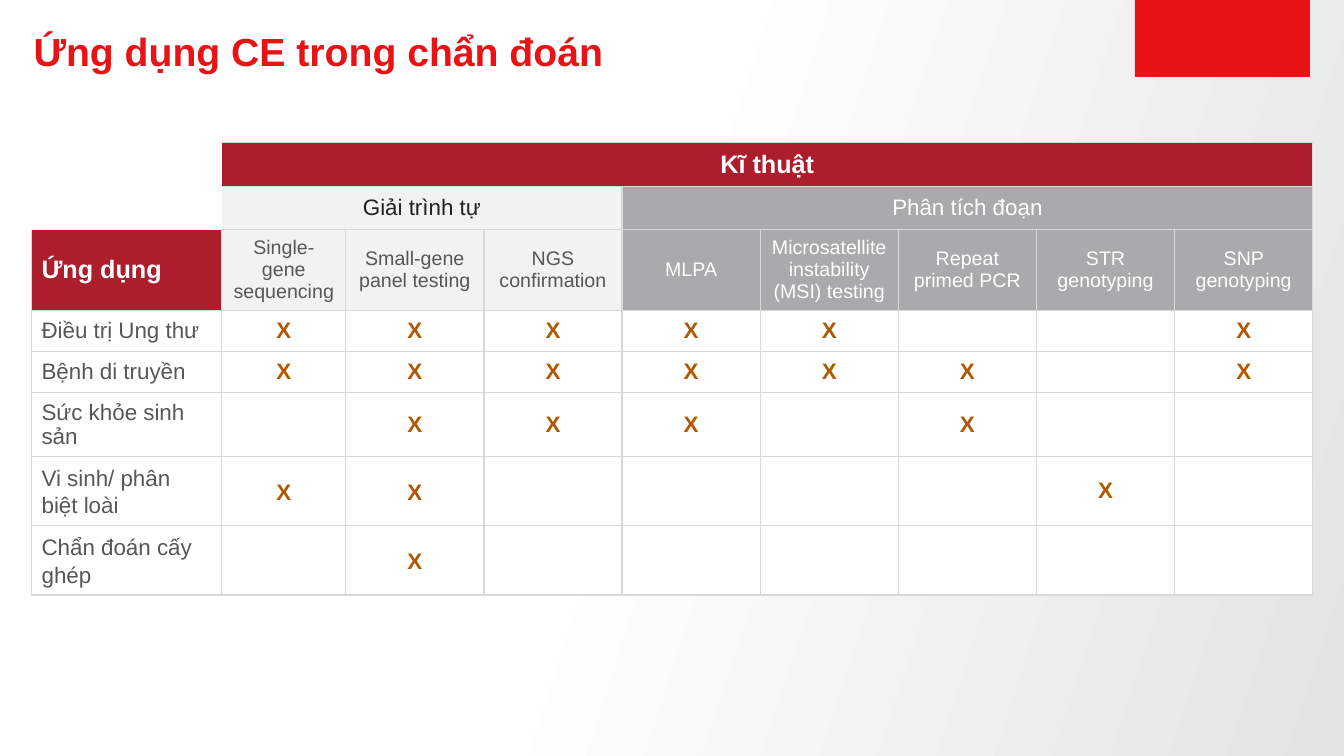
from lxml.etree import SubElement
from pptx import Presentation
from pptx.dml.color import RGBColor
from pptx.enum.shapes import MSO_SHAPE as Shape
from pptx.enum.text import MSO_ANCHOR as Anchor, PP_ALIGN as Align
from pptx.oxml.ns import qn
from pptx.util import Pt

COLORS = {
    "white": "FFFFFF", "shade": "E2E3E3", "red": "E71315", "crimson": "AD1E2D",
    "light": "F2F2F2", "gray": "A8ABAB", "ink": "222222", "text": "545859",
    "mark": "AF5800", "border": "D8D8D8",
}
TECHNIQUES = [
    "Single-gene sequencing", "Small-gene panel testing", "NGS confirmation",
    "MLPA", "Microsatellite instability (MSI) testing", "Repeat primed PCR",
    "STR genotyping", "SNP genotyping",
]
STR_COLUMN = 7
SEQUENCING_COUNT = 3
# Application, columns marked with X, line spacing
APPLICATIONS = [
    ("Điều trị Ung thư", {1, 2, 3, 4, 5, 8}, 1.0),
    ("Bệnh di truyền", {1, 2, 3, 4, 5, 6, 8}, 1.0),
    ("Sức khỏe sinh sản", {2, 3, 4, 6}, 1.0),
    ("Vi sinh/ phân biệt loài", {1, 2, 7}, 1.1),
    ("Chẩn đoán cấy ghép", {2}, 1.1),
]
COLUMN_WIDTHS = [136, 88.5] + [98.7] * 7
ROW_HEIGHTS = [31, 31, 48, 29.5, 29.5, 34.5, 36, 36]


def rgb(name):
    return RGBColor.from_string(COLORS[name])


class SlideBuilder:
    font = "Arial"

    def __init__(self, slide):
        self.slide = slide

    def background(self, start, end):
        fill = self.slide.background.fill
        fill.gradient()
        fill.gradient_angle = 342
        for stop, color, position in zip(fill.gradient_stops, (start, end), (0.45, 1)):
            stop.color.rgb = rgb(color)
            stop.position = position

    def block(self, left, top, width, height, color):
        shape = self.slide.shapes.add_shape(
            Shape.RECTANGLE, Pt(left), Pt(top), Pt(width), Pt(height))
        shape.shadow.inherit = False
        shape.fill.solid()
        shape.fill.fore_color.rgb = rgb(color)
        shape.line.fill.background()

    def set_text(self, paragraph, text, size, color, bold=False, align=Align.LEFT, spacing=1.0):
        paragraph.text = text
        paragraph.alignment = align
        paragraph.line_spacing = spacing
        font = paragraph.font
        font.name, font.size, font.bold = self.font, Pt(size), bold
        font.color.rgb = rgb(color)

    def title(self, left, top, width, height, text):
        frame = self.slide.shapes.add_textbox(
            Pt(left), Pt(top), Pt(width), Pt(height)).text_frame
        frame.word_wrap = True
        frame.vertical_anchor = Anchor.MIDDLE
        frame.margin_left = frame.margin_right = frame.margin_top = frame.margin_bottom = 0
        self.set_text(frame.paragraphs[0], text, 28, "red", bold=True, spacing=0.9)

    def table(self, left, top, widths, heights):
        table = self.slide.shapes.add_table(
            len(heights), len(widths), Pt(left), Pt(top),
            Pt(sum(widths)), Pt(sum(heights))).table
        table.first_row = table.horz_banding = False
        for column, width in zip(table.columns, widths):
            column.width = Pt(width)
        for row, height in zip(table.rows, heights):
            row.height = Pt(height)
        return table

    def borders(self, cell, sides):
        """Draw the given sides (letters of LRTB) and clear the others."""
        properties = cell._tc.get_or_add_tcPr()
        for side in "LRTB":
            line = SubElement(properties, qn(f"a:ln{side}"), w=str(Pt(1)))
            if side in sides:
                fill = SubElement(line, qn("a:solidFill"))
                SubElement(fill, qn("a:srgbClr"), val=COLORS["border"])
            else:
                SubElement(line, qn("a:noFill"))

    def cell(self, cell, fill, text="", size=16, color="text", **style):
        cell.fill.solid()
        cell.fill.fore_color.rgb = rgb(fill)
        cell.vertical_anchor = Anchor.MIDDLE
        self.set_text(cell.text_frame.paragraphs[0], text, size, color, **style)


def visible_sides(row, column):
    """Leave the empty top left corner without lines."""
    if column == 0 and row < 2:
        return ""
    if column == 1 and row < 2:
        return "RTB"
    return "LRB" if (row, column) == (2, 0) else "LRTB"


def fill_headings(builder, table):
    first_fragment = SEQUENCING_COUNT + 1
    last = len(TECHNIQUES)
    for row in range(2):
        builder.cell(table.cell(row, 0), "white")
    groups = [
        (0, 1, last, "crimson", "Kĩ thuật", 18, "white", True),
        (1, 1, SEQUENCING_COUNT, "light", "Giải trình tự", 16, "ink", False),
        (1, first_fragment, last, "gray", "Phân tích đoạn", 16, "white", False),
    ]
    for row, start, end, fill, label, size, color, bold in groups:
        heading = table.cell(row, start)
        heading.merge(table.cell(row, end))
        builder.cell(heading, fill, label, size, color, bold=bold, align=Align.CENTER)
    builder.cell(table.cell(2, 0), "crimson", "Ứng dụng", 18, "white", bold=True)
    for column, technique in enumerate(TECHNIQUES, 1):
        fill, color = ("light", "text") if column < first_fragment else ("gray", "white")
        builder.cell(table.cell(2, column), fill, technique, 14, color, align=Align.CENTER)


def fill_applications(builder, table):
    for row, (application, marked, spacing) in enumerate(APPLICATIONS, 3):
        builder.cell(table.cell(row, 0), "white", application, spacing=spacing)
        for column in range(1, len(TECHNIQUES) + 1):
            builder.cell(table.cell(row, column), "white", "X" if column in marked else "",
                         color="mark", bold=True, align=Align.CENTER,
                         spacing=1.0 if column == STR_COLUMN else spacing)


def main():
    deck = Presentation()
    deck.slide_width, deck.slide_height = Pt(960), Pt(540)
    builder = SlideBuilder(deck.slides.add_slide(deck.slide_layouts[6]))
    builder.background("white", "shade")
    builder.block(810.7, 0, 125, 55, "red")
    builder.title(24, 23.5, 768, 30, "Ứng dụng CE trong chẩn đoán")
    table = builder.table(22.5, 102, COLUMN_WIDTHS, ROW_HEIGHTS)
    for row in range(len(ROW_HEIGHTS)):
        for column in range(len(COLUMN_WIDTHS)):
            builder.borders(table.cell(row, column), visible_sides(row, column))
    fill_headings(builder, table)
    fill_applications(builder, table)
    deck.save("out.pptx")


if __name__ == "__main__":
    main()
